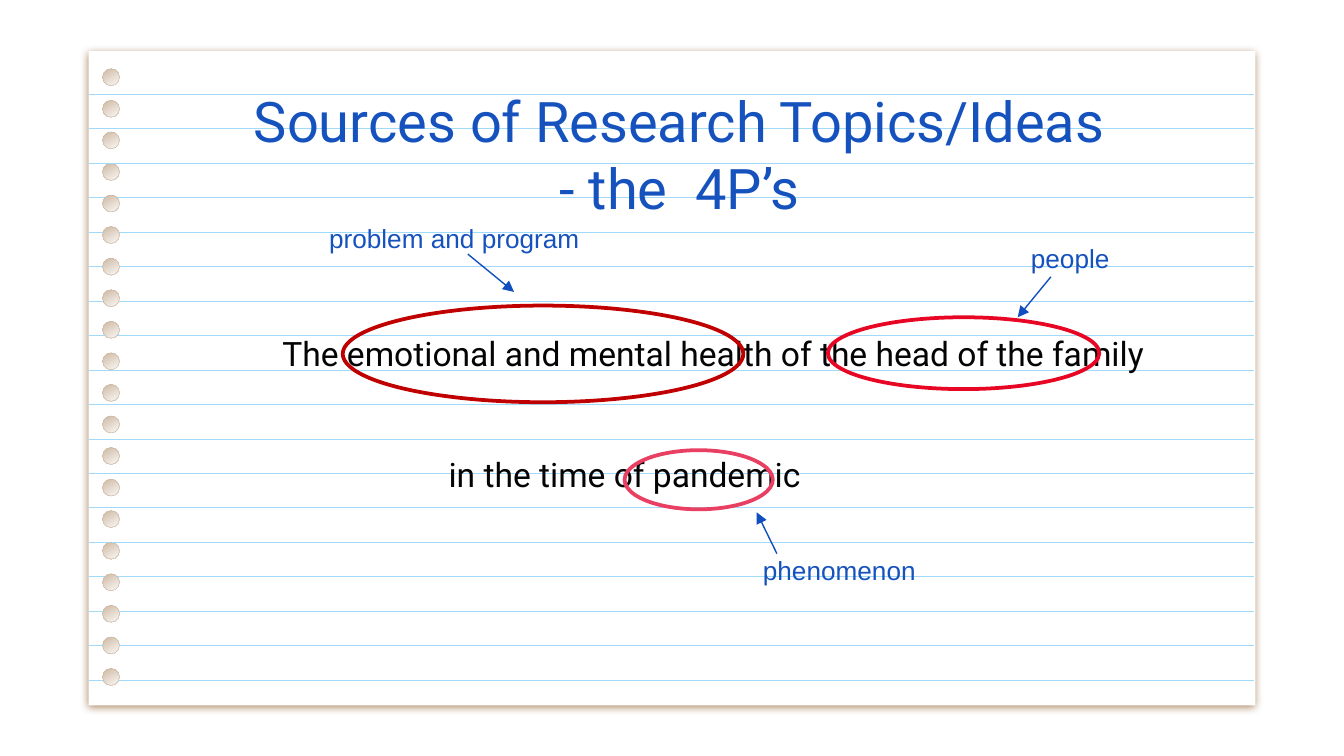
import math
from dataclasses import dataclass

import pptx
import pptx.dml.color
import pptx.enum.shapes
import pptx.enum.text
import pptx.oxml
import pptx.oxml.ns
import pptx.util
from lxml import etree

Pt = pptx.util.Pt
RGBColor = pptx.dml.color.RGBColor
MSO_SHAPE = pptx.enum.shapes.MSO_SHAPE
PP_ALIGN = pptx.enum.text.PP_ALIGN
MSO_ANCHOR = pptx.enum.text.MSO_ANCHOR
qn = pptx.oxml.ns.qn

WHITE = RGBColor(0xFF, 0xFF, 0xFF)
INK = RGBColor(0x04, 0x04, 0x04)
BLUE = RGBColor(0x15, 0x52, 0xBD)
ARROW_BLUE = RGBColor(0x10, 0x4F, 0xBD)
RULE_BLUE = RGBColor(0xA1, 0xDA, 0xF8)
HOLE_DARK = RGBColor(0xCD, 0xB8, 0xA2)
HOLE_LIGHT = RGBColor(0xFC, 0xFA, 0xF8)
DARK_RED = RGBColor(0xC0, 0x00, 0x00)
RED = RGBColor(0xE7, 0x07, 0x24)
PINK = RGBColor(0xE9, 0x3F, 0x62)

PAPER_LEFT, PAPER_TOP, PAPER_WIDTH, PAPER_HEIGHT = 47.5, 27.4, 625, 350.6
RULE_COUNT, FIRST_RULE, RULE_GAP, RULE_RIGHT = 18, 50.6, 18.46, 672
HOLE_COUNT, FIRST_HOLE, HOLE_GAP = 20, 36.9, 16.91
HOLE_LEFT, HOLE_SIZE = 55, 9
SHADOW = (
    '<a:outerShdw xmlns:a="http://schemas.openxmlformats.org/drawingml/2006/main" '
    'blurRad="57150" dist="19050" dir="5400000" algn="bl" rotWithShape="0">'
    '<a:srgbClr val="783F04"><a:alpha val="61000"/></a:srgbClr></a:outerShdw>'
)


@dataclass
class Box:
    left: float
    top: float
    width: float
    height: float

    def in_points(self) -> tuple:
        return Pt(self.left), Pt(self.top), Pt(self.width), Pt(self.height)


@dataclass
class Callout:
    label: str
    label_box: Box
    arrow: tuple[float, float, float, float]
    ring: Box
    ring_color: RGBColor


CALLOUTS = [
    Callout("problem and program", Box(169.2, 115.5, 152.6, 24.5),
            (250.6, 136.1, 275.4, 156.4), Box(183.6, 163.7, 214.6, 51.8), DARK_RED),
    Callout("phenomenon", Box(401.6, 293.4, 97.9, 24.5),
            (416.2, 296.6, 405.4, 274.5), Box(334.6, 241.2, 79.4, 31.7), PINK),
    Callout("people", Box(545.2, 126.3, 57.6, 24.5),
            (563, 148.3, 545.2, 170), Box(443.5, 170, 145.4, 38.5), RED),
]


def add_line(shapes, ends: tuple, color: RGBColor, width: float):
    line = shapes.add_connector(
        pptx.enum.shapes.MSO_CONNECTOR.STRAIGHT, *(Pt(value) for value in ends))
    line.line.color.rgb = color
    line.line.width = Pt(width)
    etree.SubElement(line._element.spPr, qn("a:effectLst"))
    return line


def add_shape(shapes, kind: MSO_SHAPE, box: Box):
    shape = shapes.add_shape(kind, *box.in_points())
    shape.shadow.inherit = False
    return shape


def draw_rule(shapes, y: float, hole_tops: list[float]) -> None:
    """Draw one rule, interrupted where it crosses a punched hole."""
    radius = HOLE_SIZE / 2
    center = HOLE_LEFT + radius
    start = PAPER_LEFT
    for top in hole_tops:
        distance = abs(top + radius - y)
        if distance < radius:
            half_gap = math.sqrt(radius ** 2 - distance ** 2)
            add_line(shapes, (start, y, center - half_gap, y), RULE_BLUE, 0.5)
            start = center + half_gap
    add_line(shapes, (start, y, RULE_RIGHT, y), RULE_BLUE, 0.5)


def draw_paper(shapes) -> None:
    paper = add_shape(shapes, MSO_SHAPE.RECTANGLE,
                      Box(PAPER_LEFT, PAPER_TOP, PAPER_WIDTH, PAPER_HEIGHT))
    paper.fill.solid()
    paper.fill.fore_color.rgb = WHITE
    paper.line.fill.background()
    effects = paper._element.spPr.find(qn("a:effectLst"))
    effects.append(pptx.oxml.parse_xml(SHADOW))

    hole_tops = [FIRST_HOLE + row * HOLE_GAP for row in range(HOLE_COUNT)]
    for top in hole_tops:
        hole = add_shape(shapes, MSO_SHAPE.OVAL, Box(HOLE_LEFT, top, HOLE_SIZE, HOLE_SIZE))
        hole.fill.gradient()
        hole.fill.gradient_angle = 300
        for stop, color in zip(hole.fill.gradient_stops, (HOLE_DARK, HOLE_LIGHT)):
            stop.color.rgb = color
        hole.line.color.rgb = HOLE_DARK
        hole.line.width = Pt(0.25)

    for row in range(RULE_COUNT):
        draw_rule(shapes, FIRST_RULE + row * RULE_GAP, hole_tops)


def place_text(placeholder, box: Box, text: str, size: float, color: RGBColor,
               align: PP_ALIGN, top_inset: float):
    placeholder.left, placeholder.top, placeholder.width, placeholder.height = box.in_points()
    frame = placeholder.text_frame
    frame.text = text
    frame.word_wrap = True
    frame.auto_size = pptx.enum.text.MSO_AUTO_SIZE.NONE
    frame.vertical_anchor = MSO_ANCHOR.TOP
    frame.margin_left = frame.margin_right = frame.margin_bottom = Pt(7.2)
    frame.margin_top = Pt(top_inset)
    for paragraph in frame.paragraphs:
        paragraph.alignment = align
        paragraph.space_before = Pt(0)
        paragraph.font.name = "Roboto"
        paragraph.font.size = Pt(size)
        paragraph.font.color.rgb = color
    return frame


def draw_callout(shapes, callout: Callout) -> None:
    ring = add_shape(shapes, MSO_SHAPE.OVAL, callout.ring)
    ring.fill.background()
    ring.line.color.rgb = callout.ring_color
    ring.line.width = Pt(2)

    arrow = add_line(shapes, callout.arrow, ARROW_BLUE, 0.75)
    etree.SubElement(arrow.line._get_or_add_ln(), qn("a:tailEnd"), type="triangle")

    label = shapes.add_textbox(*callout.label_box.in_points()).text_frame
    label.word_wrap = True
    label.text = callout.label
    label.paragraphs[0].font.name = "Arial"
    label.paragraphs[0].font.size = Pt(14)
    label.paragraphs[0].font.color.rgb = BLUE


def main() -> None:
    deck = pptx.Presentation()
    deck.slide_width, deck.slide_height = Pt(720), Pt(405)
    slide = deck.slides.add_slide(deck.slide_layouts[0])
    shapes = slide.shapes
    title, topic = shapes.title, slide.placeholders[1]

    # Notebook paper, with the placeholders raised above it
    draw_paper(shapes)
    for placeholder in (topic, title):
        shapes._spTree.append(placeholder._element)

    # Title and example research topic
    place_text(title, Box(70.6, 38.9, 586.8, 82.8),
               "Sources of Research Topics/Ideas\v- the  4P’s",
               30, BLUE, PP_ALIGN.CENTER, 7.2)
    topic_frame = place_text(
        topic, Box(134.6, 115.9, 502.6, 231.8),
        "The emotional and mental health of the head of the family\nin the time of pandemic",
        18, INK, PP_ALIGN.LEFT, 62.4)
    for paragraph, indent in zip(topic_frame.paragraphs, (9.5, 98.5)):
        properties = paragraph._p.get_or_add_pPr()
        properties.set("marL", str(Pt(indent)))
        properties.set("indent", "0")
    topic_frame.paragraphs[1].space_before = Pt(43.3)

    # The four Ps, ringed and labelled
    for callout in CALLOUTS:
        draw_callout(shapes, callout)

    deck.save("out.pptx")


if __name__ == "__main__":
    main()
